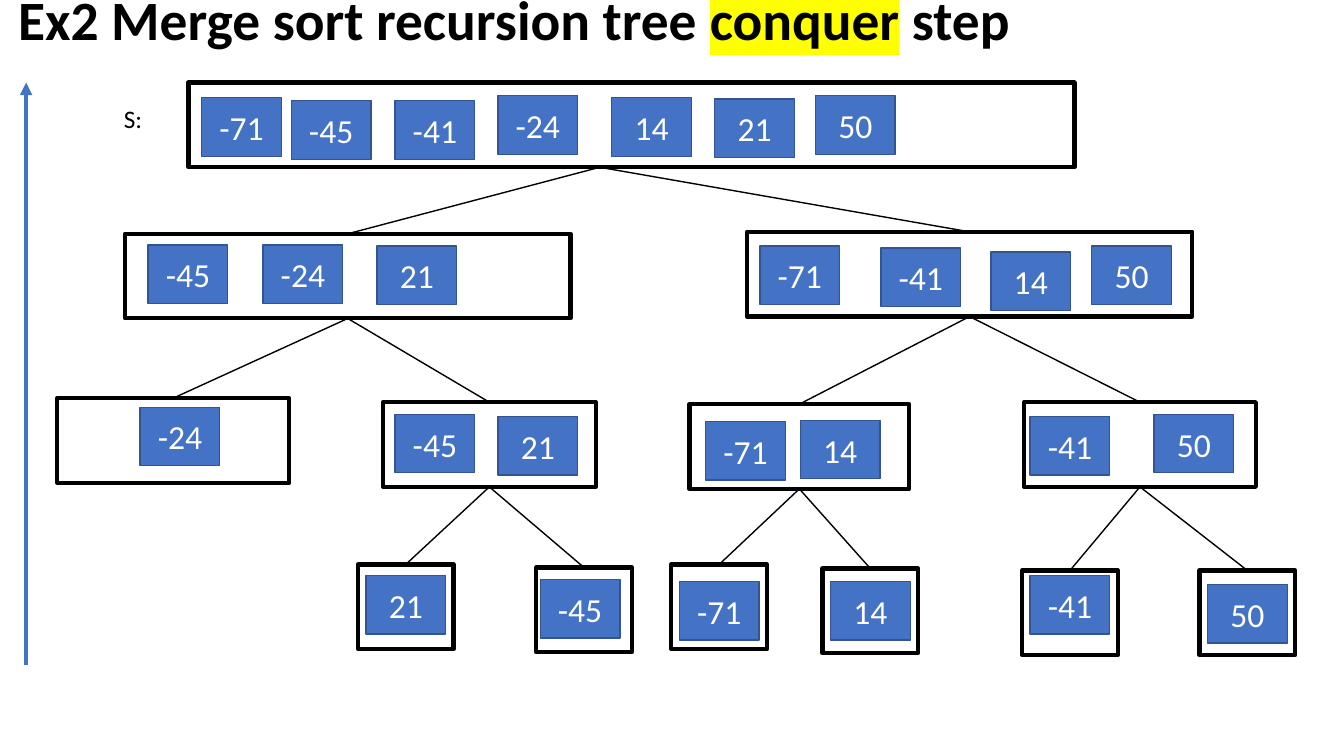
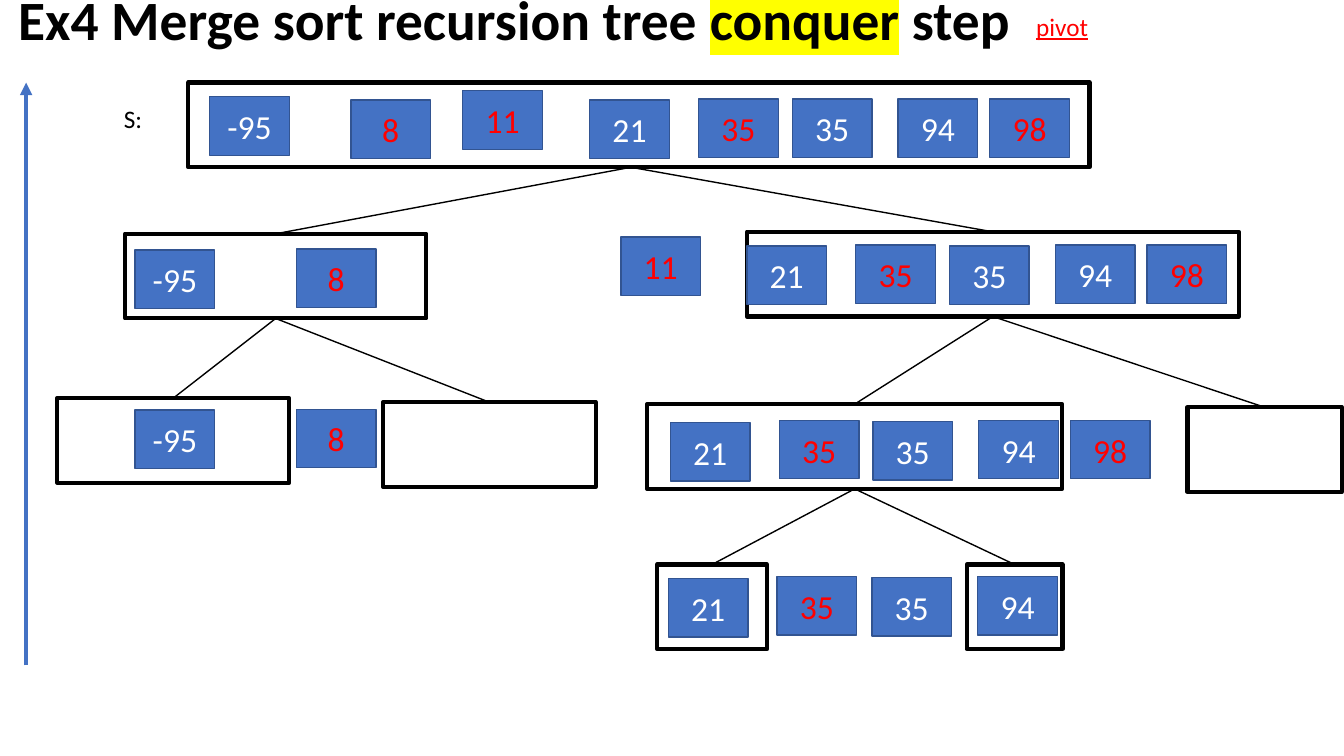
"""Build two slides showing the conquer step of a sort as a recursion tree."""
import pptx
import pptx.dml.color
import pptx.enum.shapes
import pptx.enum.text
import pptx.oxml
import pptx.oxml.ns
import pptx.util

Pt = pptx.util.Pt
RGB = pptx.dml.color.RGBColor
ALIGN = pptx.enum.text.PP_ALIGN
MIDDLE = pptx.enum.text.MSO_ANCHOR.MIDDLE
FIT = pptx.enum.text.MSO_AUTO_SIZE
RECT = pptx.enum.shapes.MSO_SHAPE.RECTANGLE
LINE = pptx.enum.shapes.MSO_CONNECTOR.STRAIGHT

BLACK = RGB(0x00, 0x00, 0x00)
WHITE = RGB(0xFF, 0xFF, 0xFF)
RED = RGB(0xFF, 0x00, 0x00)
BLUE = RGB(0x44, 0x72, 0xC4)
NAVY = RGB(0x32, 0x54, 0x91)
GLOW = RGB(0xFF, 0xFF, 0x00)
FONT = "Calibri"
BOX_H = 60.5
CHIP_W, CHIP_H = 56.9, 41.8

# Nodes are (left, top, width, parent); chips are (value, left, top).
MERGE = {
    "name": "Ex2", "width": 806, "fork": 428.4,
    "nodes": [
        (134.6, 59, 632.9, None),
        (89.3, 167, 318.2, 0), (533.5, 165.6, 318.2, 0),
        (41, 284.4, 165.6, 1), (273.6, 287.3, 151.9, 1),
        (492.5, 288.7, 157, 2), (731.5, 287.3, 165.6, 2),
        (255.6, 403.2, 68.4, 4), (383, 405.4, 68.4, 4),
        (479.5, 403.2, 68.4, 5), (587.5, 406.1, 68.4, 5),
        (730.1, 407.5, 68.4, 6), (856.8, 407.5, 68.4, 6),
    ],
    "chips": [
        ("-71", 144, 69.8), ("-45", 208.1, 72), ("-41", 282.2, 72),
        ("-24", 355.7, 68.4), ("14", 437, 69.8), ("21", 510.5, 70.6),
        ("50", 582.5, 68.4),
        ("-45", 105.8, 175), ("-24", 187.9, 175), ("21", 269.3, 175.7),
        ("-71", 542.9, 175.7), ("-41", 629.3, 177.1), ("14", 707.8, 180),
        ("50", 779.8, 175.7),
        ("-24", 100.1, 290.9), ("-45", 282.2, 295.9), ("21", 355.7, 297.4),
        ("-71", 504, 301), ("14", 571.7, 300.2), ("-41", 735.8, 297.4),
        ("50", 824.4, 295.9),
        ("21", 261.4, 411.1), ("-45", 385.9, 414), ("-71", 485.3, 415.4),
        ("14", 593.3, 415.4), ("-41", 735.8, 411.1), ("50", 862.6, 417.6),
    ],
    "pivots": [],
}
PIVOT = {
    "name": "Ex4", "width": 726, "fork": 450.7,
    "nodes": [
        (134.6, 59, 643.7, None),
        (89.3, 167, 215.3, 0), (533.5, 165.6, 351.4, 0),
        (41, 284.4, 165.6, 1), (273.6, 287.3, 151.9, 1),
        (462.2, 288.7, 296.6, 2), (848.2, 290.9, 110.2, 2),
        (469.4, 403.2, 78.5, 5), (690.5, 403.2, 68.4, 5),
    ],
    "chips": [
        ("-95", 149.8, 69.1), ("21", 421.2, 71.3), ("35", 565.9, 70.6),
        ("94", 641.5, 70.6),
        ("-95", 96.5, 178.6), ("21", 533.5, 175.7), ("35", 678.2, 175.7),
        ("94", 753.8, 175),
        ("-95", 96.5, 293), ("21", 478.8, 301.7), ("35", 623.5, 301),
        ("94", 699.1, 300.2),
        ("21", 477.4, 413.3), ("35", 622.8, 412.6), ("94", 698.4, 411.8),
    ],
    "pivots": [
        ("8", 250.6, 71.3), ("11", 330.5, 64.8), ("35", 499, 70.6),
        ("98", 707, 70.6),
        ("8", 211.7, 177.8), ("11", 443.5, 169.2), ("35", 611.3, 175),
        ("98", 819.4, 175),
        ("8", 211.7, 292.3), ("35", 556.6, 300.2), ("98", 764.6, 300.2),
        ("35", 555.1, 411.8),
    ],
}


def add_run(para, text, size, color, bold=False, under=False, glow=None):
    """Add one formatted run to a paragraph."""
    run = para.add_run()
    run.text = text
    font = run.font
    font.name, font.size, font.bold, font.underline = FONT, Pt(size), bold, under
    font.color.rgb = color
    if glow is not None:
        mark = pptx.oxml.parse_xml(
            f'<a:highlight {pptx.oxml.ns.nsdecls("a")}>'
            f'<a:srgbClr val="{glow}"/></a:highlight>')
        font.fill
        run._r.rPr.find(pptx.oxml.ns.qn("a:latin")).addprevious(mark)


def add_title(slide, name, width):
    """Place the title with its marked word."""
    title = slide.shapes.title
    title.left, title.top = Pt(5.8), Pt(-1.4)
    title.width, title.height = Pt(width), Pt(34.6)
    frame = title.text_frame
    frame.auto_size = FIT.NONE
    frame.vertical_anchor = MIDDLE
    para = frame.paragraphs[0]
    para.alignment = ALIGN.LEFT
    para.line_spacing = 0.9
    add_run(para, f"{name} Merge sort recursion tree ", 39.6, BLACK, True)
    add_run(para, "conquer", 39.6, BLACK, True, glow=GLOW)
    add_run(para, " step", 39.6, BLACK, True)


def add_label(slide, text, left, top, width, color, under=False):
    """Add a small text label."""
    label = slide.shapes.add_textbox(Pt(left), Pt(top), Pt(width), Pt(28.8))
    frame = label.text_frame
    frame.word_wrap = True
    frame.auto_size = FIT.SHAPE_TO_FIT_TEXT
    add_run(frame.paragraphs[0], text, 18, color, under=under)


def add_rect(slide, left, top, width, height, color, weight):
    """Add an unfilled rectangle with a plain outline."""
    rect = slide.shapes.add_shape(RECT, Pt(left), Pt(top), Pt(width), Pt(height))
    rect.shadow.inherit = False
    rect.fill.background()
    rect.line.color.rgb = color
    rect.line.width = Pt(weight)
    return rect


def add_chip(slide, text, left, top, color):
    """Add a blue tile that holds one number."""
    chip = add_rect(slide, left, top, CHIP_W, CHIP_H, NAVY, 1)
    chip.fill.solid()
    chip.fill.fore_color.rgb = BLUE
    frame = chip.text_frame
    frame.vertical_anchor = MIDDLE
    para = frame.paragraphs[0]
    para.alignment = ALIGN.CENTER
    add_run(para, text, 24, color)


def add_line(slide, start, end, color, weight):
    """Add a straight line between two points."""
    line = slide.shapes.add_connector(LINE, *map(Pt, start + end))
    line.line.color.rgb = color
    line.line.width = Pt(weight)
    pptx.oxml.ns.qn("a:effectLst")
    line._element.spPr.append(
        pptx.oxml.parse_xml(f'<a:effectLst {pptx.oxml.ns.nsdecls("a")}/>'))
    return line


def add_arrow(slide):
    """Add the arrow that climbs the left edge."""
    arrow = add_line(slide, (18.7, 475.2), (18.7, 59), BLUE, 3)
    arrow.line._get_or_add_ln().append(pptx.oxml.parse_xml(
        f'<a:tailEnd {pptx.oxml.ns.nsdecls("a")} type="triangle"/>'))


def add_tree(slide, nodes, fork):
    """Draw the node boxes, then join each one to its parent."""
    boxes = [add_rect(slide, left, top, width, BOX_H, BLACK, 3)
             for left, top, width, _ in nodes]
    for box, (left, top, width, up) in zip(boxes, nodes):
        if up is None:
            continue
        start = (fork, nodes[up][1] + BOX_H)
        edge = add_line(slide, start, (left + width / 2, top), BLACK, 1)
        if up:
            edge.begin_connect(boxes[up], 2)
        edge.end_connect(box, 0)


def add_slide(deck, data):
    """Build one recursion tree slide and return it."""
    slide = deck.slides.add_slide(deck.slide_layouts[5])
    add_title(slide, data["name"], data["width"])
    add_label(slide, "S:", 81.4, 70.6, 46, BLACK)
    add_arrow(slide)
    add_tree(slide, data["nodes"], data["fork"])
    for group, color in (("chips", WHITE), ("pivots", RED)):
        for text, left, top in data[group]:
            add_chip(slide, text, left, top, color)
    return slide


def main():
    """Build and save the deck."""
    deck = pptx.Presentation()
    deck.slide_width, deck.slide_height = Pt(960), Pt(540)
    add_slide(deck, MERGE)
    slide = add_slide(deck, PIVOT)
    add_label(slide, "pivot", 733, 4.3, 51.8, RED, under=True)
    deck.save("out.pptx")


if __name__ == "__main__":
    main()
